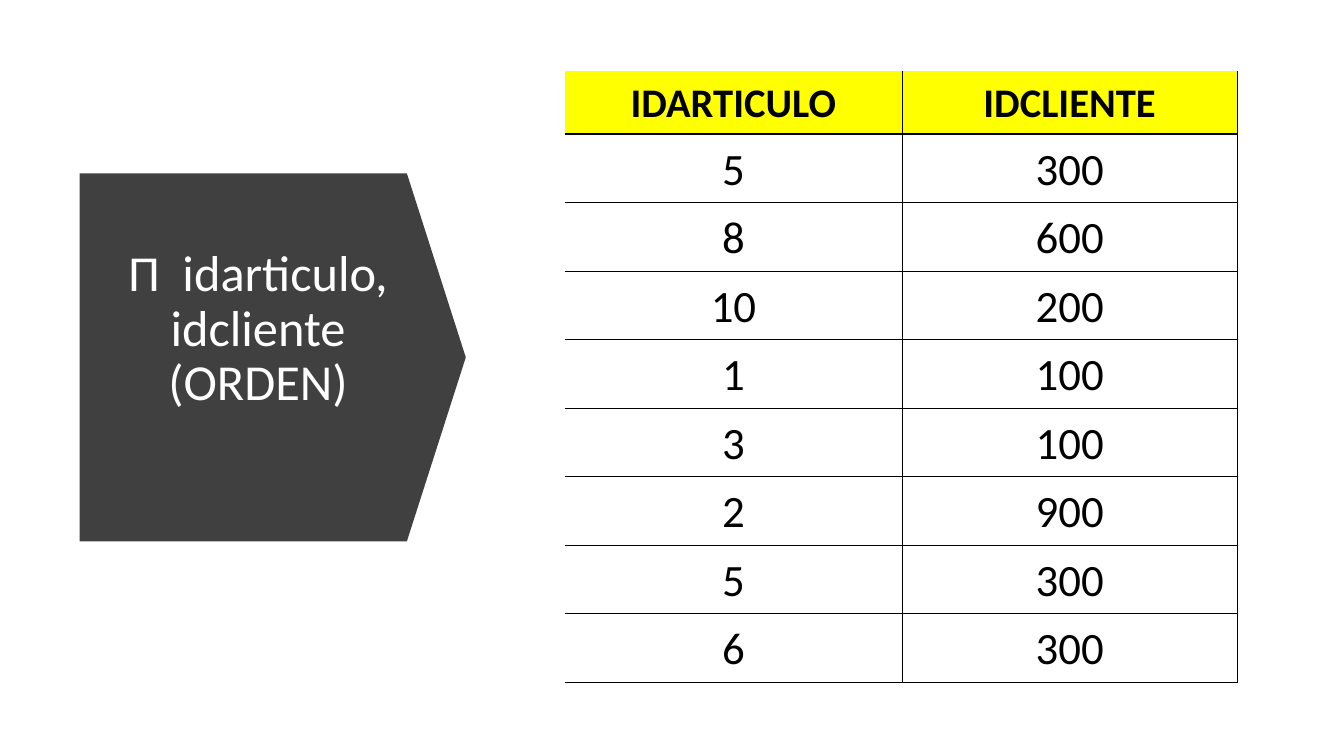
from pptx import Presentation
from pptx.util import Inches, Pt
from pptx.dml.color import RGBColor as RGB
from pptx.enum.shapes import MSO_SHAPE as Shape
from pptx.enum.text import MSO_ANCHOR as Anchor, PP_ALIGN as Align
from pptx.oxml import parse_xml
from pptx.oxml.ns import nsdecls

COLORS = {"dark": "404040", "head": "FFFF00", "ink": "000000", "white": "FFFFFF"}


def write(para, text, size, color, bold=False):
    para.alignment = Align.CENTER
    run = para.add_run()
    run.text = text
    look = {"name": "Calibri", "size": Pt(size), "bold": bold}
    for key, value in look.items():
        setattr(run.font, key, value)
    run.font.color.rgb = RGB.from_string(COLORS[color])


def edge(cell, index, side, shown):
    ink = f'<a:solidFill><a:srgbClr val="{COLORS["ink"]}"/></a:solidFill>'
    fill = ink if shown else "<a:noFill/>"
    line = f'<a:ln{side} {nsdecls("a")} w="{Pt(1)}">{fill}</a:ln{side}>'
    cell._tc.get_or_add_tcPr().insert(index, parse_xml(line))


deck = Presentation()
deck.slide_width, deck.slide_height = Inches(13.33), Inches(7.5)
slide = deck.slides.add_slide(deck.slide_layouts[6])

# Arrow panel, turned to point right
arrow = slide.shapes.add_shape(
    Shape.DOWN_ARROW, Inches(0.88), Inches(1.63), Inches(3.65), Inches(3.83))
arrow.rotation = 270
arrow.adjustments[0] = 1
arrow.adjustments[1] = 0.16
arrow.shadow.inherit = False
arrow.fill.solid()
arrow.fill.fore_color.rgb = RGB.from_string(COLORS["dark"])
arrow.line.fill.background()

# Title, raised by a deep bottom margin
title = slide.shapes.add_textbox(
    Inches(1.12), Inches(2.15), Inches(2.88), Inches(2.79))
frame = title.text_frame
layout = {"word_wrap": True, "vertical_anchor": Anchor.MIDDLE,
          "margin_bottom": Inches(0.59)}
for key, value in layout.items():
    setattr(frame, key, value)
frame.paragraphs[0].line_spacing = 0.9
write(frame.paragraphs[0], "Π  idarticulo, idcliente (ORDEN)", 36, "white")

# Table of results
rows = [("IDARTICULO", "IDCLIENTE"), (5, 300), (8, 600), (10, 200), (1, 100),
        (3, 100), (2, 900), (5, 300), (6, 300)]
table = slide.shapes.add_table(
    len(rows), 2, Inches(5.6), Inches(0.7), Inches(6.67), Inches(6.07)).table
table.first_row = table.horz_banding = False
for col, width in zip(table.columns, (3.35, 3.32)):
    col.width = Inches(width)

pad = {"margin_left": Inches(0.03), "margin_right": Inches(0.03),
       "margin_top": Inches(0.03), "margin_bottom": 0,
       "vertical_anchor": Anchor.MIDDLE}
for r, row in enumerate(rows):
    head = r == 0
    table.rows[r].height = Inches(0.63 if head else 0.68)
    for c, value in enumerate(row):
        cell = table.cell(r, c)
        for key, setting in pad.items():
            setattr(cell, key, setting)
        write(cell.text_frame.paragraphs[0], str(value),
              29 if head else 32, "ink", head)
        if head:
            cell.fill.solid()
            cell.fill.fore_color.rgb = RGB.from_string(COLORS["head"])
        else:
            cell.fill.background()
        # The left and top outer edges stay open
        sides = {"L": c > 0, "R": True, "T": r > 0, "B": True}
        for i, (side, shown) in enumerate(sides.items()):
            edge(cell, i, side, shown)

deck.save("out.pptx")
